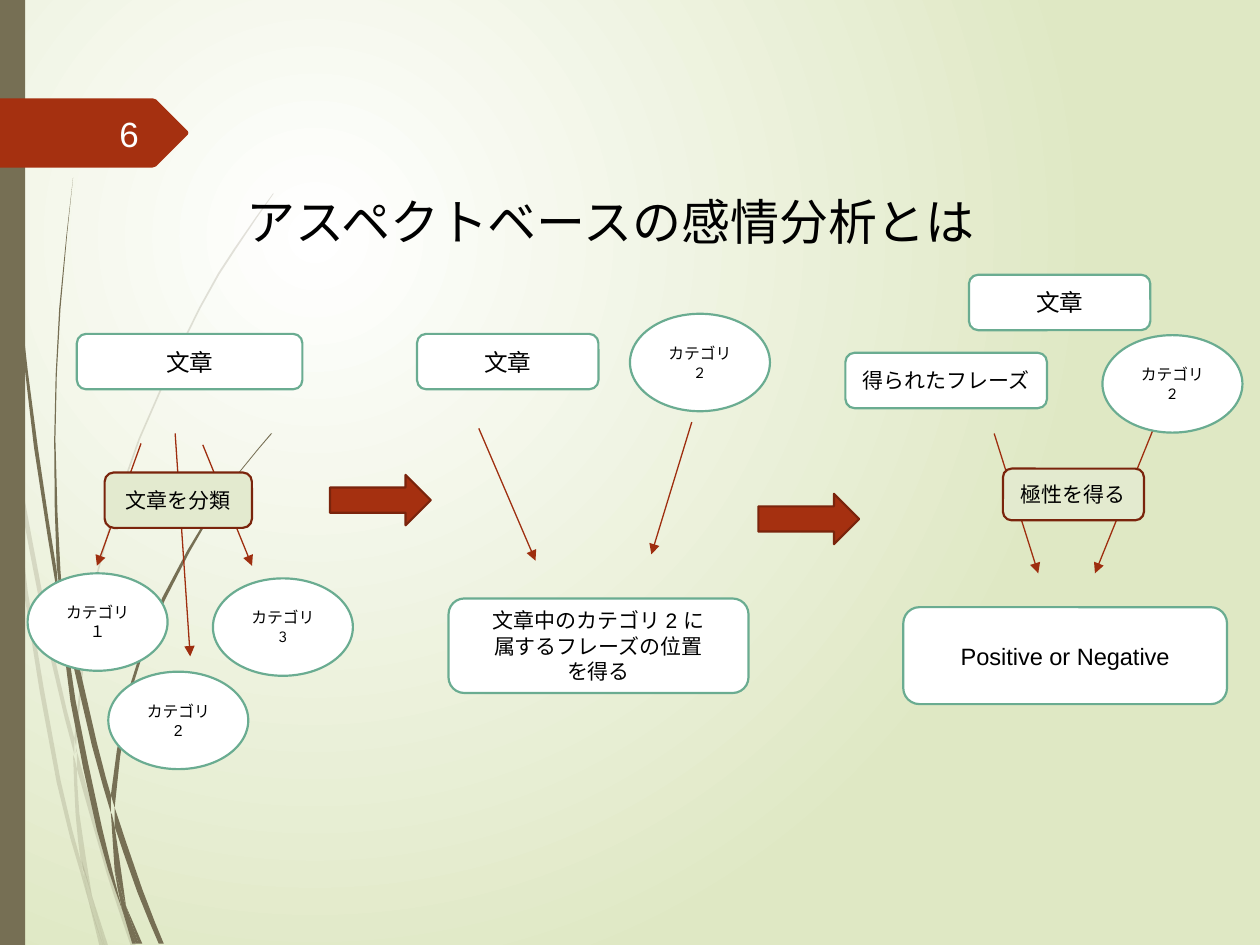
from typing import NamedTuple

from lxml.etree import SubElement
from pptx import Presentation
from pptx.dml.color import RGBColor
from pptx.enum.shapes import MSO_CONNECTOR as Connector, MSO_SHAPE as Preset
from pptx.enum.text import MSO_ANCHOR as Anchor, PP_ALIGN as Align
from pptx.oxml.ns import qn
from pptx.util import Pt

COLORS = {
    "white": "FFFFFF", "black": "000000", "number": "FEFFFF",
    "background": "DFE8C4", "olive": "766F54", "red": "A53010",
    "arrow": "9E2E0F", "dark red": "7A240C", "green": "6AAC91", "step": "E3EACF",
}
GRID = 0.72  # points per unit of the decoration grid
OVAL_SIZE = (80, 55.7)
BLOCK_ARROW_SIZE = (57.6, 28.8)
Point = tuple[float, float]


class Node(NamedTuple):
    lines: tuple[str, ...]
    left: float
    top: float
    width: float
    height: float
    size: float = 13.5
    preset: Preset = Preset.ROUNDED_RECTANGLE
    fill: str = "white"
    line: str = "green"
    font: str = "Arial"


class Arrow(NamedTuple):
    start: Point
    end: Point


class Strand(NamedTuple):
    """A grass blade: one edge going out, the other coming back."""
    outward: tuple[Point, ...]
    back: tuple[Point, ...]


def category(number: str, left: float, top: float, font: str = "League Spartan") -> Node:
    return Node(("カテゴリ", number), left, top, *OVAL_SIZE, 9, Preset.OVAL, font=font)


def step(text: str, left: float, top: float, width: float, height: float) -> Node:
    return Node((text,), left, top, width, height, 12, fill="step", line="dark red")


FAINT_STRANDS = [
    Strand(((8, 350), (6, 322), (0, 282)), ((0, 299), (7, 344), (8, 350))),
    Strand(((10, 345), (43, 520), (59, 586)), ((59, 599), (40, 522), (12, 376))),
    Strand(((61, 596), (88, 692), (108, 751)), ((104, 751), (85, 694), (61, 610))),
    Strand(((73, 711), (86, 751)), ((83, 751), (73, 711))),
    Strand(((8, 350), (12, 376), (22, 469), (48, 619), (64, 683), (70, 714)),
           ((70, 714), (64, 693), (45, 621), (19, 470), (8, 350))),
    Strand(((58, 599), (61, 610), (63, 646), (73, 711)),
           ((67, 692), (64, 683), (60, 646), (58, 599))),
    Strand(((217, 153), (186, 197), (158, 244), (110, 348), (75, 461), (59, 586)),
           ((61, 596), (61, 584), (76, 462), (111, 349), (159, 245), (187, 198), (217, 154))),
    Strand(((70, 714), (82, 751)), ((79, 751), (70, 714))),
    Strand(((65, 683), (70, 714), (82, 751)), ((83, 751), (73, 711), (65, 683))),
]
DARK_STRANDS = [
    Strand(((2, 0), (5, 110), (14, 233), (27, 355), (47, 481)),
           ((45, 453), (30, 355), (15, 232), (6, 109), (3, 0))),
    Strand(((50, 472), (77, 590), (88, 631)), ((88, 645), (73, 592), (53, 505))),
    Strand(((91, 641), (113, 706), (130, 749)), ((126, 749), (109, 708), (91, 656))),
    Strand(((47, 477), (53, 505), (60, 556), (81, 657), (97, 722)),
           ((92, 708), (77, 659), (56, 557), (47, 477))),
    Strand(((58, 141), (48, 245), (44, 349), (48, 453), (50, 472)),
           ((49, 472), (45, 449), (43, 349), (47, 245), (58, 141))),
    Strand(((100, 719), (113, 749)), ((110, 749), (100, 719))),
    Strand(((88, 631), (101, 551), (129, 474), (168, 405), (191, 373), (215, 344)),
           ((216, 344), (191, 374), (169, 406), (131, 476), (103, 552), (91, 641))),
    Strand(((97, 722), (108, 749)), ((105, 749), (97, 722))),
    Strand(((88, 645), (91, 656), (100, 719)), ((91, 691), (88, 645))),
    Strand(((91, 691), (97, 722), (108, 749)), ((110, 749), (100, 719), (91, 691))),
]
NUMBER_TAG = ((0, 78), (121, 78), (124, 79), (149, 104), (149.5, 105.5),
              (149, 107), (124, 132), (121, 133), (0, 133))

ARROWS = [
    Arrow((115.9, 254.2), (144, 323.3)), Arrow((80.6, 253.4), (55.4, 323.3)),
    Arrow((100.1, 247.7), (108.7, 375.1)), Arrow((273.6, 244.8), (306, 320.4)),
    Arrow((395.3, 241.2), (372.2, 316.8)), Arrow((568.1, 247.7), (593.3, 327.6)),
    Arrow((659.5, 244.1), (625.7, 327.6)),
]
BLOCK_ARROWS = [(188.6, 271.4), (433.4, 282.2)]
NODES = [
    # Sort the sentence into categories
    Node(("文章",), 43.9, 190.8, 128.9, 31.7),
    step("文章を分類", 59.8, 270, 84.2, 31.7),
    category("１", 15.8, 327.6, "Arial"),
    category("2", 61.9, 383.8, "Arial"),
    category("3", 121.7, 330.5),
    # Find the phrase of one category
    Node(("文章",), 238.3, 190.8, 103.7, 31.7),
    category("2", 360, 179.3),
    Node(("文章中のカテゴリ 2 に", "属するフレーズの位置", "を得る"), 256.3, 342, 171.4, 54, 12),
    # Find the polarity
    Node(("文章",), 553.7, 157, 103.7, 31.7),
    Node(("得られたフレーズ",), 483.1, 201.6, 115.2, 31.7, 12),
    category("2", 630, 191.5),
    step("極性を得る", 573.1, 267.8, 80.6, 29.5),
    Node(("Positive or Negative",), 516.2, 347, 185, 55.4),
]


def rgb(name: str) -> RGBColor:
    return RGBColor.from_string(COLORS[name])


def paint(shape, fill: str, line: str | None = None) -> None:
    shape.shadow.inherit = False
    shape.fill.solid()
    shape.fill.fore_color.rgb = rgb(fill)
    if line is None:
        shape.line.fill.background()
    else:
        shape.line.color.rgb = rgb(line)
        shape.line.width = Pt(1.25)


def smooth_edge(points: tuple[Point, ...]) -> list[Point]:
    """Add the Catmull-Rom midpoint between neighbouring points."""
    if len(points) == 2:
        return list(points)
    padded = (points[0], *points, points[-1])
    curve = [points[0]]
    for a, b, c, d in zip(padded, padded[1:], padded[2:], padded[3:]):
        middle = tuple((9 * (q + r) - p - s) / 16 for p, q, r, s in zip(a, b, c, d))
        curve += [middle, c]
    return curve


def draw_outline(slide, points, fill: str, opacity: int = 100) -> None:
    corners = [(Pt(x * GRID), Pt(y * GRID)) for x, y in points]
    builder = slide.shapes.build_freeform(*corners[0])
    builder.add_line_segments(corners[1:], close=True)
    shape = builder.convert_to_shape()
    paint(shape, fill)
    if opacity < 100:
        color = shape._element.spPr.find(qn("a:solidFill"))[0]
        SubElement(color, qn("a:alpha"), val=str(opacity * 1000))


def draw_arrow(slide, arrow: Arrow) -> None:
    ends = [Pt(value) for point in arrow for value in point]
    connector = slide.shapes.add_connector(Connector.STRAIGHT, *ends)
    connector.line.color.rgb = rgb("arrow")
    connector.line.width = Pt(0.75)
    SubElement(connector.line._get_or_add_ln(), qn("a:tailEnd"), type="triangle")
    SubElement(connector._element.spPr, qn("a:effectLst"))


def write(shape, lines, size: float, color: str = "black", font: str = "Arial",
          align: Align = Align.CENTER, anchor: Anchor = Anchor.MIDDLE) -> None:
    frame = shape.text_frame
    frame.word_wrap = True
    frame.vertical_anchor = anchor
    for index, line in enumerate(lines):
        paragraph = frame.add_paragraph() if index else frame.paragraphs[0]
        paragraph.alignment = align
        run = paragraph.add_run()
        run.text = line
        run.font.size = Pt(size)
        run.font.name = font
        run.font.color.rgb = rgb(color)


def draw_shape(slide, preset: Preset, box, fill: str, line: str | None = None):
    shape = slide.shapes.add_shape(preset, *map(Pt, box))
    paint(shape, fill, line)
    return shape


def draw_node(slide, node: Node) -> None:
    shape = draw_shape(slide, node.preset, node[1:5], node.fill, node.line)
    write(shape, node.lines, node.size, font=node.font)


def draw_background(slide) -> None:
    fill = slide.background.fill
    fill.gradient()
    for stop, position, color in zip(fill.gradient_stops, (0, 1), ("white", "background")):
        stop.position = position
        stop.color.rgb = rgb(color)
    gradient = next(slide._element.iter(qn("a:gradFill")))
    for linear in gradient.findall(qn("a:lin")):
        gradient.remove(linear)
    circle = SubElement(gradient, qn("a:path"), path="circle")
    SubElement(circle, qn("a:fillToRect"), l="50000", t="50000", r="100000", b="100000")


def main() -> None:
    presentation = Presentation()
    presentation.slide_width, presentation.slide_height = Pt(720), Pt(540)
    slide = presentation.slides.add_slide(presentation.slide_layouts[6])

    # Background, grass, side bar and number tag
    draw_background(slide)
    for strands, opacity in ((FAINT_STRANDS, 20), (DARK_STRANDS, 100)):
        for strand in strands:
            outline = smooth_edge(strand.outward) + smooth_edge(strand.back)
            draw_outline(slide, outline, "olive", opacity)
    draw_shape(slide, Preset.RECTANGLE, (0, 0, 14.4, 540), "olive")
    draw_outline(slide, NUMBER_TAG, "red")
    number = slide.shapes.add_textbox(Pt(40.3), Pt(61.9), Pt(46.1), Pt(28.8))
    write(number, ["6"], 20, "number", align=Align.RIGHT)

    # Title
    title = slide.shapes.add_textbox(Pt(133.9), Pt(81.4), Pt(452.9), Pt(82.8))
    title.text_frame.margin_top = Pt(27.8)
    write(title, ["アスペクトベースの感情分析とは"], 28, align=Align.LEFT, anchor=Anchor.TOP)

    # Three stages, with the thin arrows behind the nodes
    for arrow in ARROWS:
        draw_arrow(slide, arrow)
    for corner in BLOCK_ARROWS:
        draw_shape(slide, Preset.RIGHT_ARROW, (*corner, *BLOCK_ARROW_SIZE), "red", "dark red")
    for node in NODES:
        draw_node(slide, node)

    presentation.save("out.pptx")


if __name__ == "__main__":
    main()
